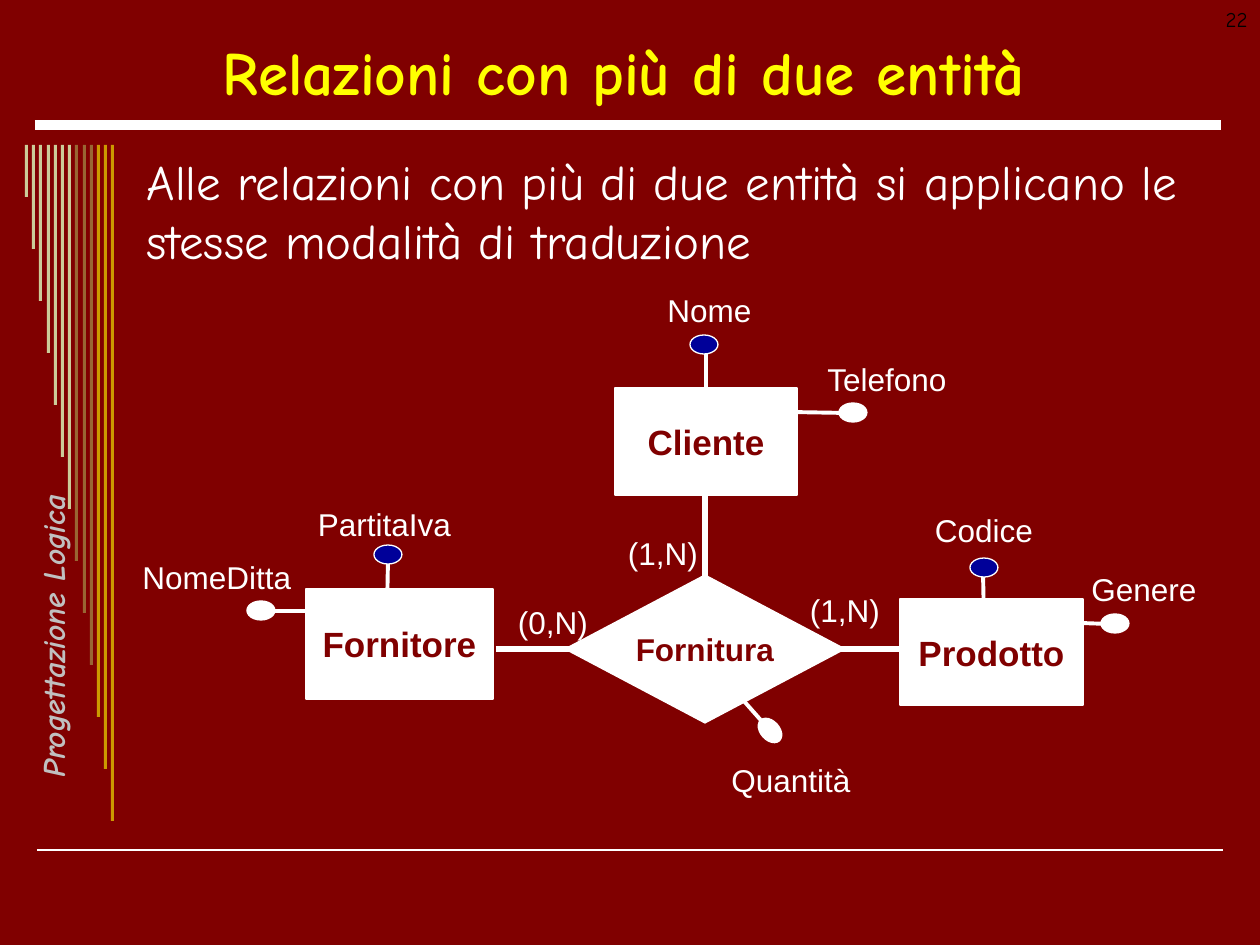
from dataclasses import dataclass

from lxml import etree
from pptx import Presentation
from pptx import util as u
from pptx.dml.color import RGBColor
from pptx.enum import shapes, text
from pptx.oxml.ns import qn

EMU_PER_PX = 914400 / 126
COLORS = {
    "background": "800000", "white": "FFFFFF", "title": "FFFF00", "key": "000099",
    "section": "C0C0C0", "number": "000000",
    "sand": "CCCC99", "brown": "996633", "gold": "CC9900",
}
HEADING_FONT, DIAGRAM_FONT = "Comic Neue", "Arial"
LEFT, CENTER, RIGHT = text.PP_ALIGN.LEFT, text.PP_ALIGN.CENTER, text.PP_ALIGN.RIGHT
RECT, DIAMOND = shapes.MSO_SHAPE.RECTANGLE, shapes.MSO_SHAPE.DIAMOND
DOT_W, DOT_H = 28, 19
LABEL_H = 50
STRIPES = ["sand"] * 7 + ["brown"] * 3 + ["gold"] * 3
STRIPE_PITCH, STRIPE_STEP = 7.2, 52


@dataclass
class Label:
    text: str
    x: int
    y: int
    w: int
    align: text.PP_ALIGN = LEFT


@dataclass
class Line:
    x1: int
    y1: int
    x2: int
    y2: int
    width: float


@dataclass
class Node:
    text: str
    kind: shapes.MSO_SHAPE
    x: int
    y: int
    w: int
    h: int
    size: int = 20


@dataclass
class Attribute:
    """A label, the stem from its owner, and the dot (top left) at the stem's end."""
    label: Label
    stem: Line
    dot_x: int
    dot_y: int
    key: bool = False
    rotation: int = 0


RULES = [Line(37, 850, 1223, 850, 1), Line(35, 125, 1221, 125, 6)]
LINKS = [Line(496, 649, 945, 649, 3), Line(705, 610, 705, 481, 3)]
NODES = [
    Node("Fornitore", RECT, 306, 589, 187, 110),
    Node("Prodotto", RECT, 900, 599, 183, 106),
    Node("Fornitura", DIAMOND, 565, 575, 280, 148, 18),
    Node("Cliente", RECT, 615, 388, 182, 107),
]
ATTRIBUTES = [
    Attribute(Label("NomeDitta", 130, 552, 186), Line(324, 611, 267, 611, 2.25), 247, 601),
    Attribute(Label("PartitaIva", 251, 499, 267, CENTER),
              Line(388, 561, 387, 612, 2.25), 374, 545, key=True),
    Attribute(Label("Codice", 861, 505, 246, CENTER),
              Line(983, 572, 984, 621, 2.25), 970, 558, key=True),
    Attribute(Label("Genere", 1079, 564, 140), Line(1052, 622, 1109, 624, 2.25), 1101, 614),
    Attribute(Label("Quantità", 719, 755, 188),
              Line(728, 683, 766, 726, 2.25), 756, 721, rotation=48),
    Attribute(Label("Nome", 655, 285, 186), Line(706, 353, 706, 403, 2.25), 690, 335, key=True),
    Attribute(Label("Telefono", 815, 354, 184), Line(789, 412, 847, 413, 2.25), 839, 403),
]
CARDINALITIES = [
    Label("(1,N)", 762, 585, 166, CENTER),
    Label("(0,N)", 470, 597, 166, CENTER),
    Label("(1,N)", 580, 528, 166, CENTER),
]


def px(value: int) -> u.Emu:
    return u.Emu(round(value * EMU_PER_PX))


def rgb(name: str) -> RGBColor:
    return RGBColor.from_string(COLORS[name])


def place(sp, x: int, y: int, w: int, h: int) -> None:
    sp.left, sp.top, sp.width, sp.height = px(x), px(y), px(w), px(h)


def write(sp, words: str, size: int, color: str, font: str = DIAGRAM_FONT,
          align: text.PP_ALIGN = LEFT, bold: bool = False, italic: bool = False,
          wrap: bool = True, anchor: text.MSO_ANCHOR = text.MSO_ANCHOR.TOP) -> None:
    tf = sp.text_frame
    tf.text = words
    tf.word_wrap = wrap
    tf.auto_size = text.MSO_AUTO_SIZE.NONE
    tf.vertical_anchor = anchor
    p = tf.paragraphs[0]
    p.alignment = align
    p.space_before = u.Pt(0)
    f = p.runs[0].font
    f.name, f.size, f.bold, f.italic = font, u.Pt(size), bold, italic
    f.color.rgb = rgb(color)


def add_filled(s, kind: shapes.MSO_SHAPE, x: int, y: int, w: int, h: int,
               fill: str, outline: bool = True):
    sp = s.shapes.add_shape(kind, px(x), px(y), px(w), px(h))
    sp.shadow.inherit = False
    sp.fill.solid()
    sp.fill.fore_color.rgb = rgb(fill)
    if outline:
        sp.line.color.rgb = rgb("white")
        sp.line.width = u.Pt(0.75)
    else:
        sp.line.fill.background()
    return sp


def add_line(s, line: Line) -> None:
    c = s.shapes.add_connector(shapes.MSO_CONNECTOR.STRAIGHT,
                               px(line.x1), px(line.y1), px(line.x2), px(line.y2))
    c.line.color.rgb = rgb("white")
    c.line.width = u.Pt(line.width)
    etree.SubElement(c._element.spPr, qn("a:effectLst"))


def add_text(s, x: int, y: int, w: int, h: int, words: str, size: int, color: str, **style):
    sp = s.shapes.add_textbox(px(x), px(y), px(w), px(h))
    write(sp, words, size, color, **style)
    return sp


def add_label(s, label: Label) -> None:
    add_text(s, label.x, label.y, label.w, LABEL_H, label.text, 18, "white", align=label.align)


def add_attribute(s, a: Attribute) -> None:
    add_line(s, a.stem)
    dot = add_filled(s, shapes.MSO_SHAPE.OVAL, a.dot_x, a.dot_y, DOT_W, DOT_H,
                     "key" if a.key else "white")
    dot.rotation = a.rotation


def add_node(s, n: Node) -> None:
    sp = add_filled(s, n.kind, n.x, n.y, n.w, n.h, "white")
    write(sp, n.text, n.size, "background", align=CENTER, bold=True, wrap=False,
          anchor=text.MSO_ANCHOR.MIDDLE)


def add_frame(s) -> None:
    """Rules, stripes, section name and page number around the content."""
    for rule in RULES:
        add_line(s, rule)
    for i, color in enumerate(STRIPES):
        add_filled(s, RECT, round(25 + i * STRIPE_PITCH), 145, 3, STRIPE_STEP * (i + 1),
                   color, outline=False)
    section = add_text(s, -140, 620, 367, 32, "Progettazione Logica", 18, "section",
                       font=HEADING_FONT, align=CENTER, bold=True, italic=True, wrap=False)
    section.rotation = 270
    add_text(s, 966, 0, 294, 63, "22", 12, "number", font=HEADING_FONT, align=RIGHT)


def fill_placeholders(s) -> None:
    title, body = s.shapes.title, s.placeholders[1]
    place(title, 44, 26, 1160, 90)
    write(title, "Relazioni con più di due entità", 35, "title", font=HEADING_FONT,
          align=CENTER, bold=True, anchor=text.MSO_ANCHOR.MIDDLE)
    place(body, 134, 145, 1074, 694)
    write(body, "Alle relazioni con più di due entità si applicano le stesse modalità "
          "di traduzione", 28, "white", font=HEADING_FONT)
    pPr = body.text_frame.paragraphs[0]._p.get_or_add_pPr()
    pPr.set("marL", "0")
    pPr.set("indent", "0")
    etree.SubElement(pPr, qn("a:buNone"))


def main() -> None:
    prs = Presentation()
    prs.slide_width, prs.slide_height = px(1260), px(945)
    s = prs.slides.add_slide(prs.slide_layouts[1])
    s.background.fill.solid()
    s.background.fill.fore_color.rgb = rgb("background")
    add_frame(s)
    fill_placeholders(s)
    for link in LINKS:
        add_line(s, link)
    for attribute in ATTRIBUTES:
        add_attribute(s, attribute)
    for node in NODES:
        add_node(s, node)
    for label in [a.label for a in ATTRIBUTES] + CARDINALITIES:
        add_label(s, label)
    prs.save("out.pptx")


if __name__ == "__main__":
    main()
